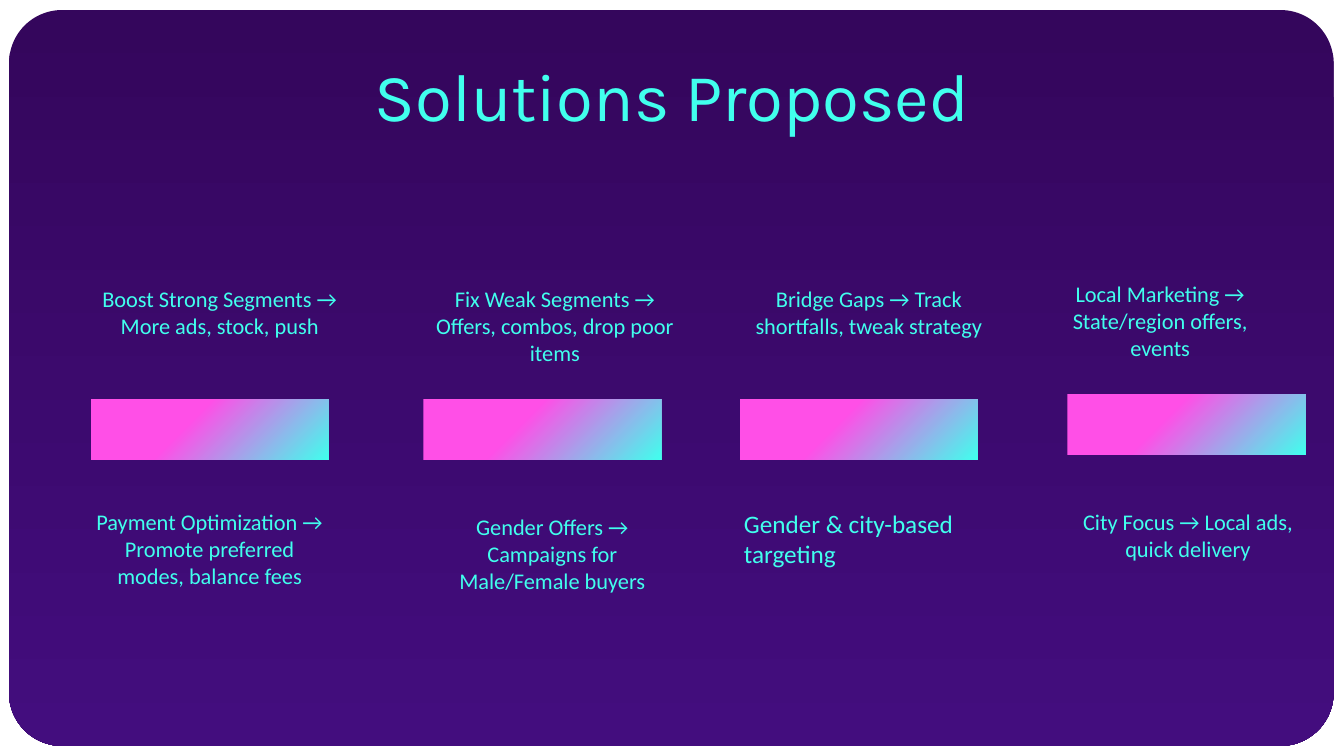
from pptx import Presentation
from pptx.dml.color import RGBColor
from pptx.enum.shapes import MSO_SHAPE
from pptx.enum.text import MSO_AUTO_SIZE, PP_ALIGN
from pptx.util import Pt

ROUNDED = MSO_SHAPE.ROUNDED_RECTANGLE
BAR = MSO_SHAPE.ROUND_2_DIAG_RECTANGLE
LEFT, CENTER = PP_ALIGN.LEFT, PP_ALIGN.CENTER
GROW = MSO_AUTO_SIZE.SHAPE_TO_FIT_TEXT

CYAN, PINK = "41FFED", "FF4FE7"
PANEL_TOP, PANEL_BOTTOM = "34065C", "430D7E"
COLUMNS = (64.8, 302.4, 528.5, 762.5)
BAR_TOPS = (285.1, 285.1, 285.1, 281.5)
UPPER_TOP, LOWER_TOP = 200.2, 363

# Per column: text, width, padded
UPPER = (
    ("Boost Strong Segments → More ads, stock, push", 184.3, True),
    ("Fix Weak Segments → Offers, combos, drop poor items", 187.9, True),
    ("Bridge Gaps → Track shortfalls, tweak strategy", 184.3, True),
    ("Local Marketing → State/region offers, events", 132.5, False),
)
# Per column: text, width, padded, size, alignment, shift to the right
LOWER = (
    ("Payment Optimization → Promote preferred modes, balance fees",
     169.9, False, 16, CENTER, 0),
    ("Gender Offers → Campaigns for Male/Female buyers",
     184.3, True, 16, CENTER, 0),
    ("Gender & city-based targeting", 172.1, False, 18, LEFT, 2.9),
    ("City Focus → Local ads, quick delivery", 172.1, False, 16, CENTER, 0),
)


def color(value):
    return RGBColor.from_string(value)


def add_gradient_shape(slide, kind, box, adjustments, stops, angle):
    shape = slide.shapes.add_shape(kind, *(Pt(length) for length in box))
    shape.shadow.inherit = False
    shape.line.fill.background()
    for index, value in enumerate(adjustments):
        shape.adjustments[index] = value
    shape.fill.gradient()
    shape.fill.gradient_angle = angle
    for stop, (position, value) in zip(shape.fill.gradient_stops, stops):
        stop.position = position
        stop.color.rgb = color(value)


def add_label(slide, text, left, top, width, height, padded=True,
              size=16, alignment=CENTER, font="Calibri"):
    shape = slide.shapes.add_textbox(Pt(left), Pt(top), Pt(width), Pt(height))
    frame = shape.text_frame
    frame.word_wrap = True
    frame.auto_size = GROW
    if not padded:
        frame.margin_left = frame.margin_right = 0
        frame.margin_top = frame.margin_bottom = 0
    paragraph = frame.paragraphs[0]
    paragraph.text = text
    paragraph.alignment = alignment
    paragraph.font.name = font
    paragraph.font.size = Pt(size)
    paragraph.font.color.rgb = color(CYAN)


def main():
    presentation = Presentation()
    presentation.slide_width, presentation.slide_height = Pt(960), Pt(540)
    slide = presentation.slides.add_slide(presentation.slide_layouts[6])

    # Background panel
    add_gradient_shape(slide, ROUNDED, (6.5, 7.2, 946.1, 525.6), (0.072,),
                       ((0, PANEL_TOP), (1, PANEL_BOTTOM)), 270)

    # Gradient bars
    for left, top in zip(COLUMNS, BAR_TOPS):
        add_gradient_shape(slide, BAR, (left, top, 169.9, 43.2), (0, 0),
                           ((0.41, PINK), (1, CYAN)), 315)

    # Title
    add_label(slide, "Solutions Proposed", 84.2, 35.3, 792, 65.5,
              size=48, font="Karla")

    # Solutions above and below the bars
    for left, (text, width, padded) in zip(COLUMNS, UPPER):
        add_label(slide, text, left, UPPER_TOP, width, 58, padded)
    for left, (text, width, padded, size, alignment, shift) in zip(COLUMNS, LOWER):
        add_label(slide, text, left + shift, LOWER_TOP, width, 58, padded,
                  size, alignment)

    presentation.save("out.pptx")


if __name__ == "__main__":
    main()
